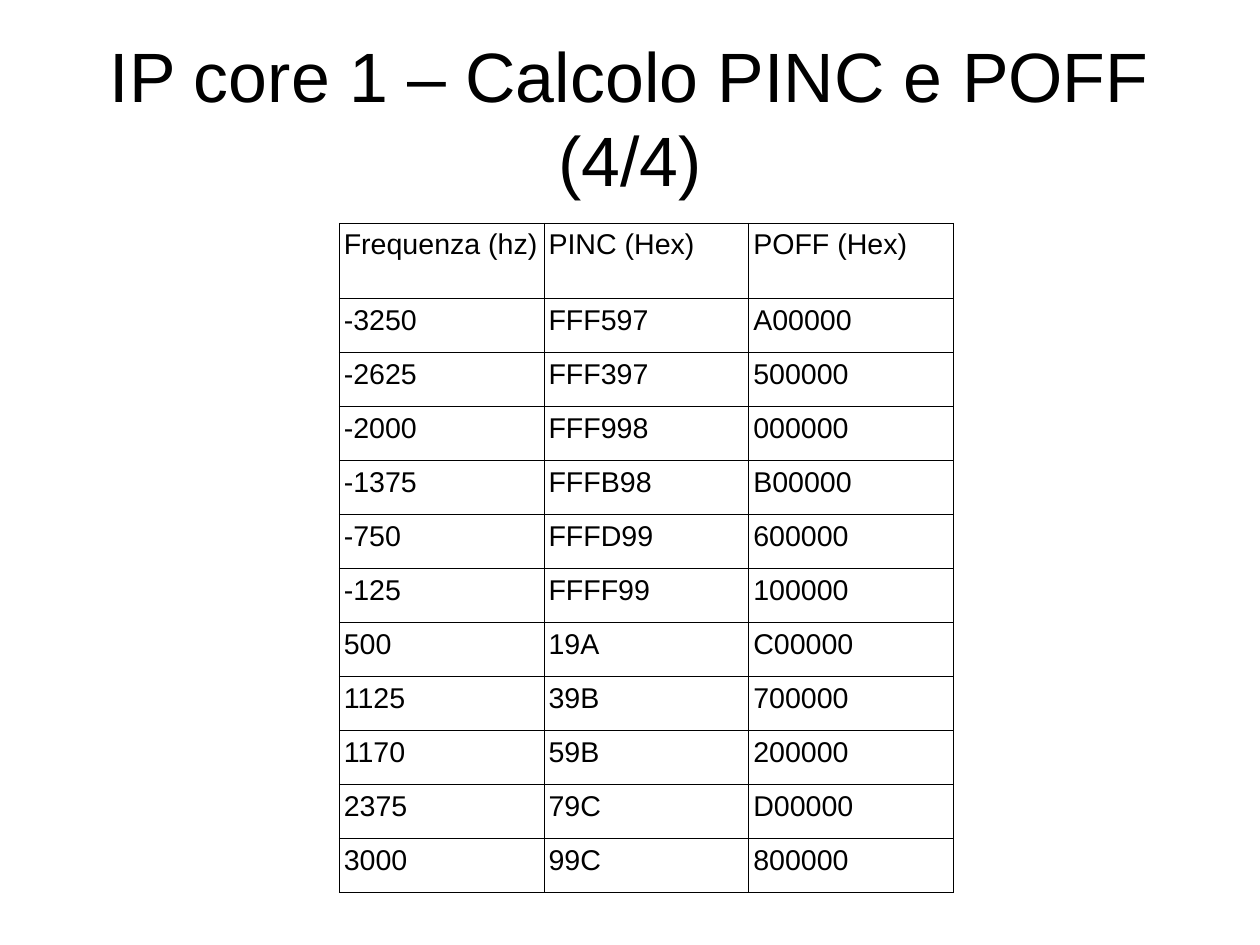
from dataclasses import dataclass

from lxml.etree import SubElement
from pptx import Presentation
from pptx.dml.color import RGBColor
from pptx.enum.text import MSO_ANCHOR as Anchor, PP_ALIGN as Align
from pptx.oxml.ns import qn
from pptx.util import Cm, Pt

HEADINGS = ("Frequenza (hz)", "PINC (Hex)", "POFF (Hex)")
PHASES = (
    ("-3250", "FFF597", "A00000"),
    ("-2625", "FFF397", "500000"),
    ("-2000", "FFF998", "000000"),
    ("-1375", "FFFB98", "B00000"),
    ("-750", "FFFD99", "600000"),
    ("-125", "FFFF99", "100000"),
    ("500", "19A", "C00000"),
    ("1125", "39B", "700000"),
    ("1170", "59B", "200000"),
    ("2375", "79C", "D00000"),
    ("3000", "99C", "800000"),
)


@dataclass(frozen=True)
class Theme:
    """Colours, type sizes and line width of the slide."""
    font: str = "Arial"
    ink: str = "000000"
    title_size: int = 44
    cell_size: int = 18
    border_width: float = 0.57


class SlideBuilder:
    """Adds styled elements to one slide."""

    def __init__(self, slide, theme):
        """Keep the slide and its theme."""
        self.slide = slide
        self.theme = theme

    def add_words(self, paragraph, words, size):
        """Add one run in the theme's font and ink."""
        run = paragraph.add_run()
        run.text = words
        run.font.name = self.theme.font
        run.font.size = Pt(size)
        run.font.bold = False
        run.font.color.rgb = RGBColor.from_string(self.theme.ink)

    def title(self, words, left, top, width, height):
        """Add a centred title."""
        heading = self.slide.shapes.add_textbox(Cm(left), Cm(top), Cm(width), Cm(height))
        frame = heading.text_frame
        frame.word_wrap = True
        frame.vertical_anchor = Anchor.MIDDLE
        frame.margin_left = frame.margin_right = 0
        frame.margin_top = frame.margin_bottom = 0
        frame.paragraphs[0].alignment = Align.CENTER
        self.add_words(frame.paragraphs[0], words, self.theme.title_size)

    def border(self, cell):
        """Draw a thin line on all four sides of a cell."""
        properties = cell._tc.get_or_add_tcPr()
        for side in ("a:lnL", "a:lnR", "a:lnT", "a:lnB"):
            line = SubElement(properties, qn(side), w=str(Pt(self.theme.border_width)))
            fill = SubElement(line, qn("a:solidFill"))
            SubElement(fill, qn("a:srgbClr"), val=self.theme.ink)

    def table(self, records, left, top, column_width, row_heights):
        """Add a plain ruled table."""
        columns = len(records[0])
        grid = self.slide.shapes.add_table(
            len(records), columns, Cm(left), Cm(top),
            Cm(column_width * columns), Cm(sum(row_heights))).table
        grid.first_row = grid.horz_banding = False
        for column in grid.columns:
            column.width = Cm(column_width)
        for row, height, record in zip(grid.rows, row_heights, records):
            row.height = Cm(height)
            for cell, words in zip(row.cells, record):
                cell.margin_left = cell.margin_right = Cm(0.1)
                cell.margin_top = cell.margin_bottom = Cm(0.13)
                self.border(cell)
                cell.fill.background()
                self.add_words(cell.text_frame.paragraphs[0], words, self.theme.cell_size)


def main():
    """Build and save the slide."""
    deck = Presentation()
    deck.slide_width, deck.slide_height = Cm(28), Cm(21)
    builder = SlideBuilder(deck.slides.add_slide(deck.slide_layouts[6]), Theme())
    builder.title("IP core 1 – Calcolo PINC e POFF (4/4)", 1.4, 0.84, 25.2, 3.5)
    builder.table((HEADINGS, *PHASES), 7.54, 4.96, 4.55, [1.68] + [1.2] * len(PHASES))
    deck.save("out.pptx")


if __name__ == "__main__":
    main()
